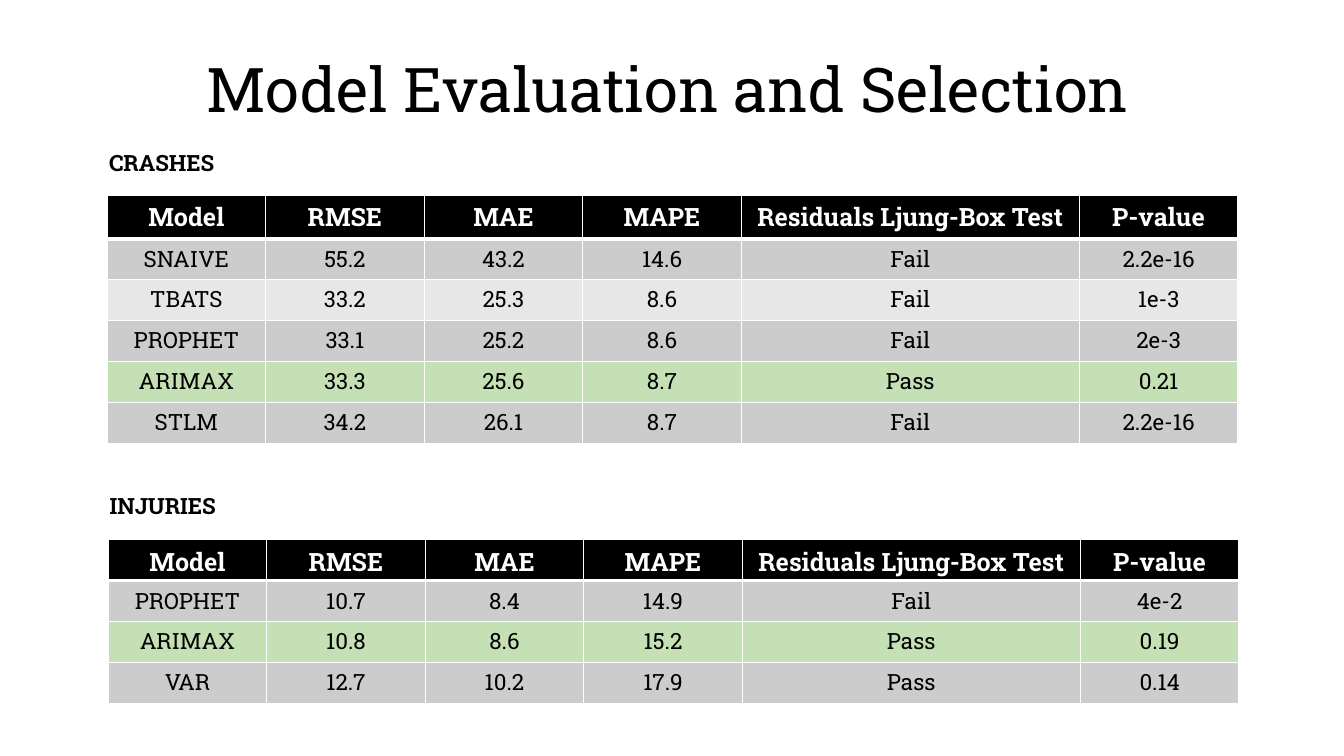
from lxml.etree import SubElement
from pptx import Presentation
from pptx.dml.color import RGBColor
from pptx.enum.text import MSO_ANCHOR, PP_ALIGN
from pptx.oxml.ns import qn
from pptx.util import Pt

PX = 9525  # EMU per pixel at 96 px to the inch


class Theme:
    font = "Roboto Slab"
    title_size, header_size, body_size = 44, 18, 16
    black, white = "000000", "FFFFFF"
    bands = ("CCCCCC", "E7E7E7")
    selected = "C5E0B4"


COLUMN_WIDTHS = (151, 151, 151, 151, 322, 151)
ROW_HEIGHT = 39
HEADER = ("Model", "RMSE", "MAE", "MAPE", "Residuals Ljung-Box Test", "P-value")
SELECTED_MODEL = "ARIMAX"

# heading, heading left and top, table left and top, results
SECTIONS = (
    ("CRASHES", (82, 140), (102, 186), (
        ("SNAIVE", "55.2", "43.2", "14.6", "Fail", "2.2e-16"),
        ("TBATS", "33.2", "25.3", "8.6", "Fail", "1e-3"),
        ("PROPHET", "33.1", "25.2", "8.6", "Fail", "2e-3"),
        ("ARIMAX", "33.3", "25.6", "8.7", "Pass", "0.21"),
        ("STLM", "34.2", "26.1", "8.7", "Fail", "2.2e-16"),
    )),
    ("INJURIES", (83, 467), (103, 514), (
        ("PROPHET", "10.7", "8.4", "14.9", "Fail", "4e-2"),
        ("ARIMAX", "10.8", "8.6", "15.2", "Pass", "0.19"),
        ("VAR", "12.7", "10.2", "17.9", "Pass", "0.14"),
    )),
)


def write_centred(frame, text, size, color=Theme.black, bold=False):
    paragraph = frame.paragraphs[0]
    paragraph.text = text
    paragraph.alignment = PP_ALIGN.CENTER
    font = paragraph.font
    font.name, font.size, font.bold = Theme.font, Pt(size), bold
    font.color.rgb = RGBColor.from_string(color)
    return paragraph


def add_borders(cell, top, bottom):
    """Draw white borders, 1 pt at the sides; must come before the cell's fill."""
    properties = cell._tc.get_or_add_tcPr()
    for side, points in (("lnL", 1), ("lnR", 1), ("lnT", top), ("lnB", bottom)):
        border = SubElement(properties, qn(f"a:{side}"), w=str(Pt(points)))
        fill = SubElement(border, qn("a:solidFill"))
        SubElement(fill, qn("a:srgbClr"), val=Theme.white)


presentation = Presentation()
presentation.slide_width, presentation.slide_height = 1280 * PX, 720 * PX
slide = presentation.slides.add_slide(presentation.slide_layouts[5])

title = slide.shapes.title
title.left, title.top, title.width, title.height = (
    length * PX for length in (161, 19, 937, 139))
title.text_frame.vertical_anchor = MSO_ANCHOR.MIDDLE
title.text_frame.margin_left = 23 * PX
write_centred(title.text_frame, "Model Evaluation and Selection",
              Theme.title_size).line_spacing = 0.9

for heading, (heading_left, heading_top), (left, top), results in SECTIONS:
    rows = (HEADER, *results)
    table = slide.shapes.add_table(
        len(rows), len(HEADER), left * PX, top * PX,
        sum(COLUMN_WIDTHS) * PX, len(rows) * ROW_HEIGHT * PX).table
    for column, width in zip(table.columns, COLUMN_WIDTHS):
        column.width = width * PX

    for row_index, values in enumerate(rows):
        is_header = row_index == 0
        if is_header:
            background = Theme.black
        elif values[0] == SELECTED_MODEL:
            background = Theme.selected
        else:
            background = Theme.bands[(row_index - 1) % 2]
        for column_index, value in enumerate(values):
            cell = table.cell(row_index, column_index)
            add_borders(cell, top=3 if row_index == 1 else 1,
                        bottom=3 if is_header else 1)
            cell.fill.solid()
            cell.fill.fore_color.rgb = RGBColor.from_string(background)
            write_centred(cell.text_frame, value,
                          Theme.header_size if is_header else Theme.body_size,
                          Theme.white if is_header else Theme.black, is_header)

    label = slide.shapes.add_textbox(
        heading_left * PX, heading_top * PX, 144 * PX, 36 * PX)
    label.text_frame.word_wrap = True
    paragraph = write_centred(label.text_frame, heading, Theme.body_size, bold=True)
    paragraph.line_spacing = 0.9
    paragraph.space_after = Pt(6)

presentation.save("out.pptx")
